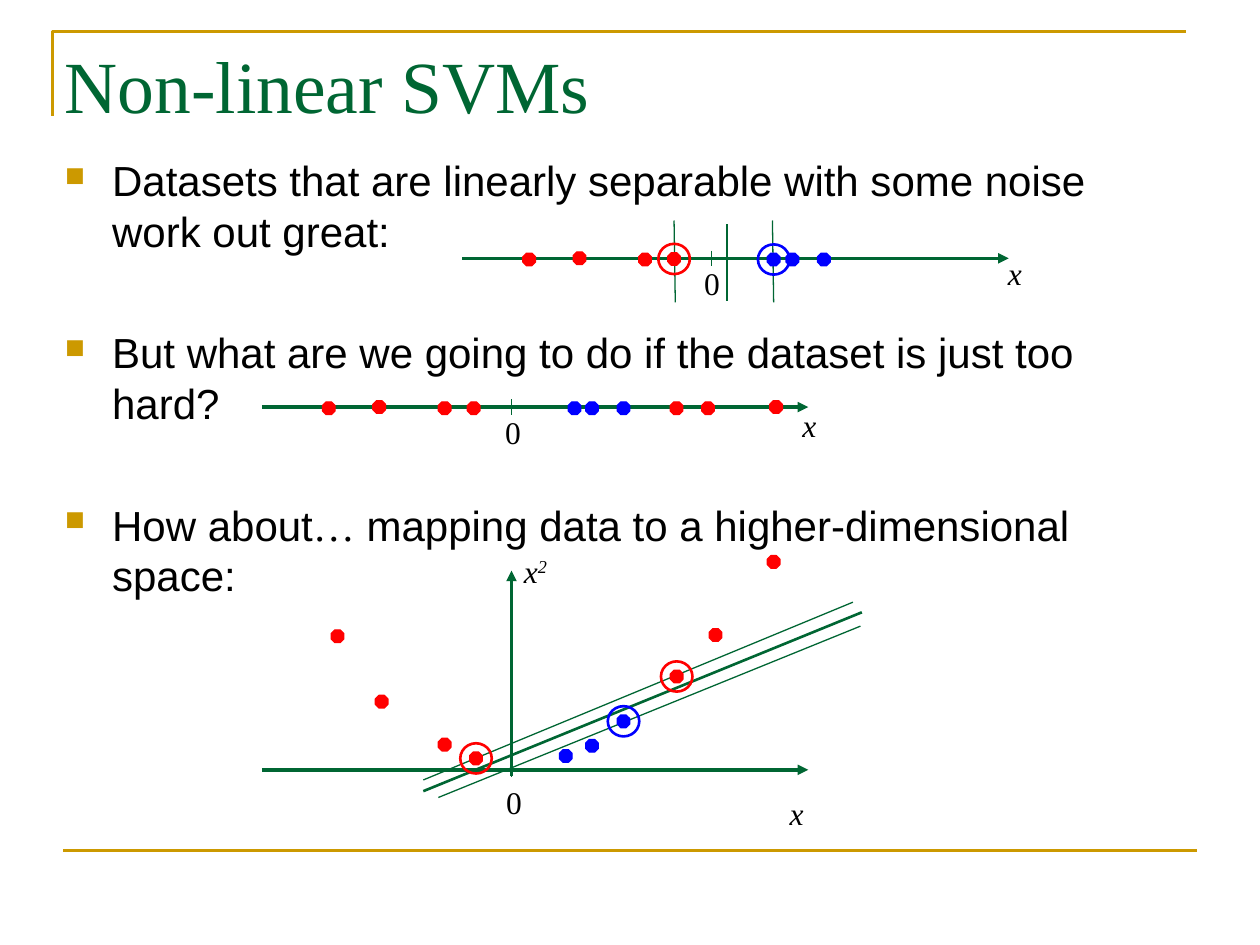
from dataclasses import dataclass

from lxml import etree
from pptx import Presentation
from pptx.dml.color import RGBColor
from pptx.enum.shapes import MSO_CONNECTOR, MSO_SHAPE
from pptx.enum.text import MSO_ANCHOR
from pptx.oxml.ns import qn
from pptx.util import Pt

STRAIGHT = MSO_CONNECTOR.STRAIGHT
OCTAGON = MSO_SHAPE.OCTAGON
OVAL = MSO_SHAPE.OVAL
MIDDLE = MSO_ANCHOR.MIDDLE
TOP = MSO_ANCHOR.TOP


@dataclass(frozen=True)
class Theme:
    green: RGBColor = RGBColor(0x00, 0x66, 0x33)
    gold: RGBColor = RGBColor(0xCC, 0x99, 0x00)
    red: RGBColor = RGBColor(0xFF, 0x00, 0x00)
    blue: RGBColor = RGBColor(0x00, 0x00, 0xFF)
    black: RGBColor = RGBColor(0x00, 0x00, 0x00)
    serif: str = "Times New Roman"
    sans: str = "Arial"
    title_size: float = 42
    body_size: float = 24
    label_size: float = 18
    axis_width: float = 2
    medium_width: float = 1.5
    thin_width: float = 0.75


THEME = Theme()
AXIS_LEFT, AXIS_RIGHT = -142.6, 169.6  # ends of an axis, from its zero
DOT_SIZE = 7.2
RING_WIDTH, RING_HEIGHT = 18, 17.3
RED, BLUE = THEME.red, THEME.blue


# Basic parts
def add_line(slide, start, end, color, width, arrow=False):
    line = slide.shapes.add_connector(STRAIGHT, *map(Pt, (*start, *end)))
    line.line.color.rgb = color
    line.line.width = Pt(width)
    properties = line._element.spPr
    if arrow:
        outline = properties.find(qn("a:ln"))
        etree.SubElement(outline, qn("a:tailEnd"), type="triangle")
    etree.SubElement(properties, qn("a:effectLst"))


def add_mark(slide, kind, center, width, height, color, line_width, filled):
    x, y = center
    shape = slide.shapes.add_shape(
        kind, Pt(x - width / 2), Pt(y - height / 2), Pt(width), Pt(height))
    shape.shadow.inherit = False
    shape.line.color.rgb = color
    shape.line.width = Pt(line_width)
    if filled:
        shape.fill.solid()
        shape.fill.fore_color.rgb = color
    else:
        shape.fill.background()
    return shape


def add_text_frame(slide, box, anchor=TOP):
    frame = slide.shapes.add_textbox(*map(Pt, box)).text_frame
    frame.word_wrap = True
    frame.vertical_anchor = anchor
    return frame


def add_run(paragraph, text, font, size, color, italic=False):
    run = paragraph.add_run()
    run.text = text
    run.font.name = font
    run.font.size = Pt(size)
    run.font.color.rgb = color
    run.font.italic = italic
    return run


def add_label(slide, left, top, width, text, italic=False, superscript=""):
    paragraph = add_text_frame(slide, (left, top, width, 28.8)).paragraphs[0]
    add_run(paragraph, text, THEME.serif, THEME.label_size, THEME.black, italic)
    if superscript:
        run = add_run(paragraph, superscript, THEME.serif, THEME.label_size,
                      THEME.black, italic)
        run.font._element.set("baseline", "30000")


# Gold frame lines
def add_frame(slide, box):
    left, top, width, height = box
    builder = slide.shapes.build_freeform(Pt(left), Pt(top + 48.2))
    builder.add_line_segments(
        [(Pt(left), Pt(top)), (Pt(left + width), Pt(top))], close=False)
    corner = builder.convert_to_shape()
    corner.shadow.inherit = False
    corner.fill.background()
    corner.line.color.rgb = THEME.gold
    corner.line.width = Pt(THEME.medium_width)
    bottom = top + height
    add_line(slide, (left + 6, bottom), (left + width + 6, bottom),
             THEME.gold, THEME.medium_width)


def add_title(slide, box):
    paragraph = add_text_frame(slide, box, MIDDLE).paragraphs[0]
    add_run(paragraph, "Non-linear SVMs", THEME.serif, THEME.title_size, THEME.green)


# Bulleted text
def add_bullet(paragraph):
    properties = paragraph._p.get_or_add_pPr()
    properties.set("marL", str(Pt(27)))
    properties.set("indent", str(-Pt(27)))
    color = etree.SubElement(properties, qn("a:buClr"))
    etree.SubElement(color, qn("a:srgbClr"), val=str(THEME.gold))
    etree.SubElement(properties, qn("a:buSzPct"), val="65000")
    etree.SubElement(properties, qn("a:buChar"), char="■")


def add_body(slide, box):
    items = [
        [("Datasets that are linearly separable with some noise work out great:",
          THEME.sans)],
        [("But what are we going to do if the dataset is just too hard?", THEME.sans)],
        [("How about", THEME.sans), ("…", THEME.serif),
         (" mapping data to a higher-dimensional space:", THEME.sans)],
    ]
    frame = add_text_frame(slide, box)
    for index, runs in enumerate(items):
        paragraph = frame.add_paragraph() if index else frame.paragraphs[0]
        paragraph.line_spacing = Pt(28.8)
        paragraph.space_before = Pt(40.7 if index else 0)
        add_bullet(paragraph)
        for text, font in runs:
            add_run(paragraph, text, font, THEME.body_size, THEME.black)


# A plot; data are (x, y, colour, ringed), lines (start, end, width), from its zero
def add_plot(slide, box, dots, lines, zero_at, x_at, vertical=False):
    left, top, _, height = box
    origin_x, origin_y = left - AXIS_LEFT, top + height

    def place(point):
        return origin_x + point[0], origin_y + point[1]

    add_line(slide, place((AXIS_LEFT, 0)), place((AXIS_RIGHT, 0)),
             THEME.green, THEME.axis_width, arrow=True)
    add_line(slide, place((0, -4.4)), place((0, 4.4)), THEME.green, THEME.thin_width)
    if vertical:
        add_line(slide, place((0, 3.6)), place((0, -height)),
                 THEME.green, THEME.axis_width, arrow=True)
        add_label(slide, *place((0, -height - 14.4)), 36, "x", True, "2")
    for start, end, width in lines:
        add_line(slide, place(start), place(end), THEME.green, width)
    for x, y, color, ringed in dots:
        center = place((x, y))
        dot = add_mark(slide, OCTAGON, center, DOT_SIZE, DOT_SIZE, color,
                       THEME.thin_width, filled=True)
        dot.adjustments[0] = 0.29
        if ringed:
            add_mark(slide, OVAL, center, RING_WIDTH, RING_HEIGHT, color,
                     THEME.medium_width, filled=False)
    add_label(slide, *place(zero_at), 27, "0")
    add_label(slide, *place(x_at), 36, "x", italic=True)


def main():
    presentation = Presentation()
    presentation.slide_width, presentation.slide_height = Pt(720), Pt(540)
    slide = presentation.slides.add_slide(presentation.slide_layouts[6])
    thin, medium = THEME.thin_width, THEME.medium_width
    axis_width = AXIS_RIGHT - AXIS_LEFT

    add_frame(slide, (30, 18, 648, 468))
    add_title(slide, (30, 18, 378, 60))
    add_body(slide, (30, 85, 648, 396))

    # Separable data on one axis
    near = [(-104.4, 0.7, RED, False), (-75.6, 0, RED, False),
            (-38.2, 0.7, RED, False)]
    add_plot(slide, (264.2, 147.6, axis_width, 0),
             near + [(-21.6, 0.4, RED, True), (35.3, 0.7, BLUE, True),
                     (46, 0.7, BLUE, False), (64, 0.7, BLUE, False)],
             [((8.6, -19.4), (8.6, 24.5), medium),
              ((35.3, 25.2), (34.6, -21.6), thin),
              ((-20.9, 25.2), (-21.6, -21.6), thin)],
             (-11.5, 0), (162, -5.8))

    # Data that no point on the axis separates
    add_plot(slide, (149.7, 232.6, axis_width, 0),
             near + [(-21.6, 0.7, RED, False), (36, 0.7, BLUE, False),
                     (46, 0.7, BLUE, False), (64, 0.7, BLUE, False),
                     (94.3, 0.7, RED, False), (112.3, 0.7, RED, False),
                     (151.2, 0, RED, False)],
             [], (-10.8, 0), (159.1, -4.3))

    # The same data mapped to two dimensions
    add_plot(slide, (149.7, 326.1, axis_width, 113.8),
             [(-99.4, -76.3, RED, False), (-74.2, -38.9, RED, False),
              (-38.2, -14.4, RED, False), (-20.3, -6.5, RED, True),
              (31, -7.9, BLUE, False), (46, -13.7, BLUE, False),
              (64, -27.7, BLUE, True), (94.4, -53.3, RED, True),
              (116.6, -77, RED, False), (149.8, -118.8, RED, False)],
             [((-50.4, 12.2), (200.2, -90), medium),
              ((-50.4, 5.8), (195.1, -95.8), thin),
              ((-41.8, 15.8), (199.4, -82.1), thin)],
             (-10.1, 4.3), (151.9, 10.1), vertical=True)

    presentation.save("out.pptx")


if __name__ == "__main__":
    main()
